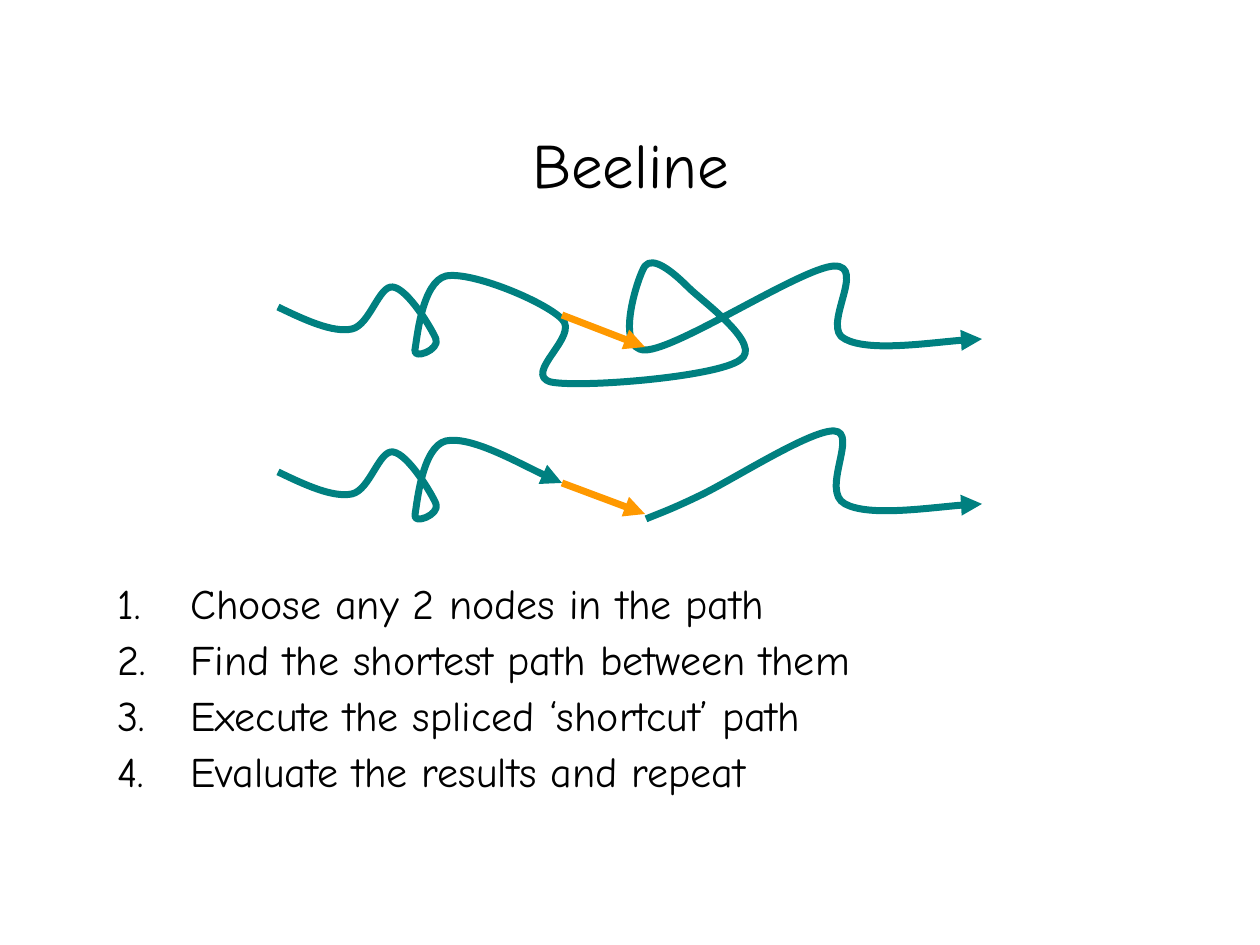
from lxml import etree
from pptx import Presentation
from pptx import util as u
from pptx.dml.color import RGBColor
from pptx.enum import shapes, text
from pptx.oxml.ns import qn

PX = 914400 / 126
BLACK = RGBColor(0x00, 0x00, 0x00)
TEAL = RGBColor(0x00, 0x80, 0x80)
ORANGE = RGBColor(0xFF, 0x99, 0x00)
FONT = "Comic Neue"

TITLE = "Beeline"
STEPS = [
    "Choose any 2 nodes in the path",
    "Find the shortest path between them",
    "Execute the spliced ‘shortcut’ path",
    "Evaluate the results and repeat",
]

# Curves: a start point, then three points (two controls, one end) per segment.
ROW_GAP = 165
LEAD_IN = [
    (278, 307),
    (305, 320), (333, 333), (352, 329),
    (370, 325), (379, 285), (393, 287),
    (408, 289), (432, 329), (436, 339),
    (440, 350), (413, 360), (415, 350),
    (417, 339), (422, 282), (446, 276),
]
DETOUR = [
    (471, 271), (544, 301), (562, 319),
    (580, 336), (522, 374), (551, 382),
    (581, 388), (717, 377), (740, 360),
    (764, 345), (703, 302), (688, 287),
    (672, 271), (653, 256), (645, 266),
    (638, 276), (614, 350), (645, 350),
    (677, 350), (801, 268), (834, 266),
    (868, 265), (820, 328), (845, 339),
]
TO_SHORTCUT = [(471, 271), (543, 311), (562, 318)]
FROM_SHORTCUT = [
    (646, 354),
    (655, 350), (668, 346), (699, 331),
    (731, 316), (810, 265), (834, 266),
    (859, 267), (820, 326), (845, 339),
]
LEAD_OUT = [(869, 352), (959, 339), (982, 339)]

# Each row: drop, curves, shortcut start and end
ROWS = [
    (0, [LEAD_IN + DETOUR + LEAD_OUT], (562, 315), (645, 347)),
    (ROW_GAP, [FROM_SHORTCUT + LEAD_OUT, LEAD_IN + TO_SHORTCUT],
     (562, 318), (645, 349)),
]


def px(length):
    return u.Emu(round(length * PX))


def style_arrow(arrow, color):
    arrow.line.color.rgb = color
    arrow.line.width = u.Pt(4)
    properties = arrow._element.spPr
    etree.SubElement(properties.find(qn("a:ln")), qn("a:tailEnd"), type="triangle")
    etree.SubElement(properties, qn("a:effectLst"))


def add_curve(group, points):
    """Draw a freeform, then merge each three straight segments into a Bézier."""
    builder = group.build_freeform(*points[0], scale=PX)
    builder.add_line_segments(points[1:], close=False)
    curve = builder.convert_to_shape()
    segments = list(curve._element.iter(qn("a:lnTo")))
    for i in range(0, len(segments), 3):
        bezier = etree.Element(qn("a:cubicBezTo"))
        segments[i].addprevious(bezier)
        for segment in segments[i:i + 3]:
            bezier.append(segment[0])
            segment.getparent().remove(segment)
    curve.fill.background()
    style_arrow(curve, TEAL)


def add_shortcut(group, start, end):
    shortcut = group.add_connector(
        shapes.MSO_CONNECTOR.STRAIGHT, *map(px, start + end))
    style_arrow(shortcut, ORANGE)


def add_text(slide, box, lines, size, anchor):
    frame = slide.shapes.add_textbox(*map(px, box)).text_frame
    frame.word_wrap = True
    frame.vertical_anchor = anchor
    for i, line in enumerate(lines):
        paragraph = frame.add_paragraph() if i else frame.paragraphs[0]
        run = paragraph.add_run()
        run.text = line
        run.font.size = u.Pt(size)
        run.font.name = FONT
        run.font.color.rgb = BLACK
    return frame.paragraphs


def number_steps(paragraphs):
    for i, paragraph in enumerate(paragraphs):
        properties = paragraph._p.get_or_add_pPr()
        properties.set("marL", str(px(73)))
        properties.set("indent", str(-px(73)))
        etree.SubElement(properties, qn("a:buAutoNum"), type="arabicPeriod")
        paragraph.line_spacing = 0.9
        if i:
            paragraph.space_before = u.Pt(6)


def main():
    deck = Presentation()
    deck.slide_width, deck.slide_height = px(1260), px(945)
    slide = deck.slides.add_slide(deck.slide_layouts[6])

    title = add_text(slide, (95, 84, 1071, 158), [TITLE], 36, text.MSO_ANCHOR.MIDDLE)
    title[0].alignment = text.PP_ALIGN.CENTER
    number_steps(
        add_text(slide, (105, 577, 1050, 242), STEPS, 24, text.MSO_ANCHOR.TOP))

    for drop, curves, start, end in ROWS:
        group = slide.shapes.add_group_shape().shapes
        for points in curves:
            add_curve(group, [(x, y + drop) for x, y in points])
        add_shortcut(group, (start[0], start[1] + drop), (end[0], end[1] + drop))

    deck.save("out.pptx")


if __name__ == "__main__":
    main()
